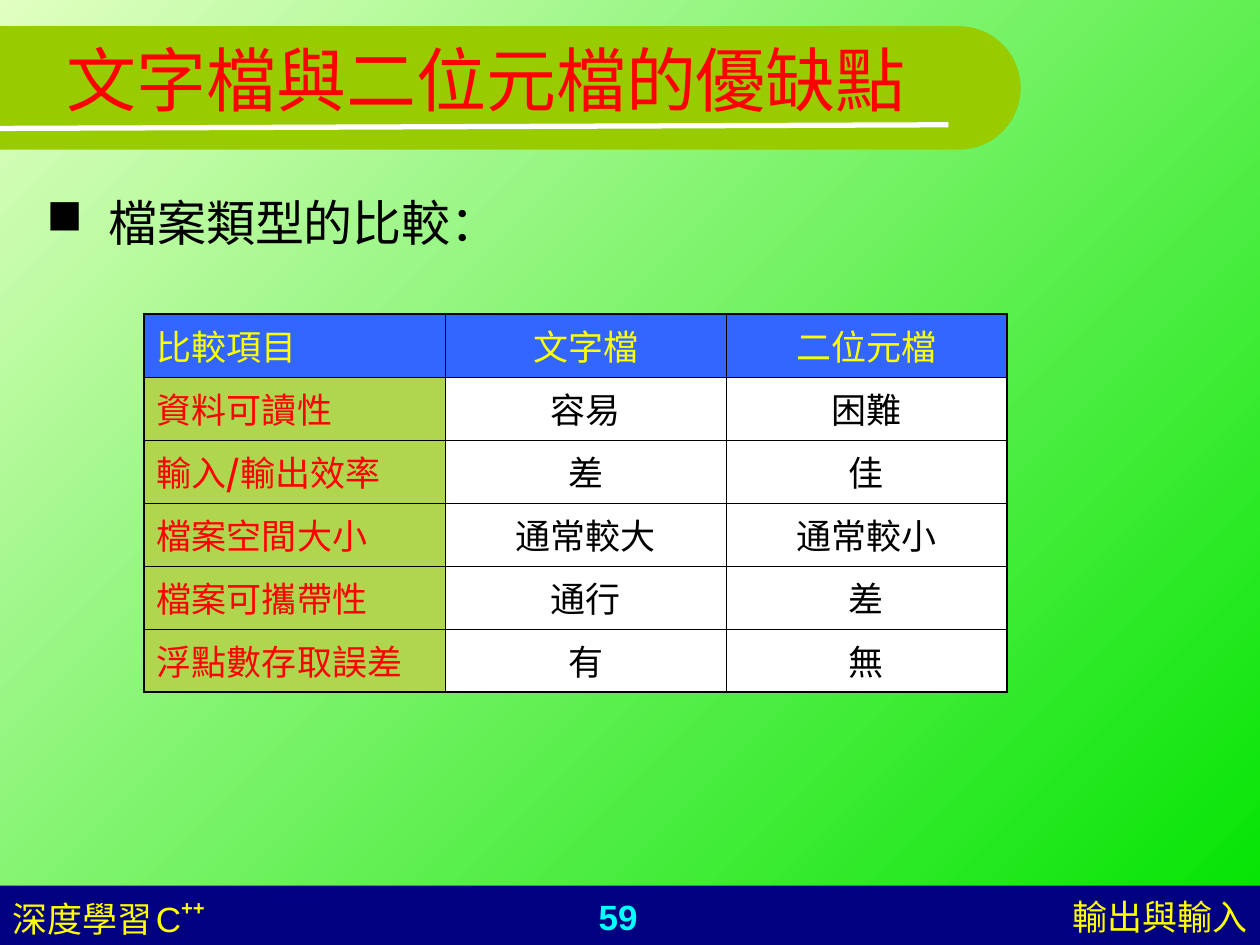
"""Build the slide comparing text files with binary files."""
import math
from dataclasses import dataclass, field

from lxml import etree
from pptx import Presentation
from pptx.dml.color import RGBColor
from pptx.enum.shapes import MSO_CONNECTOR, MSO_SHAPE
from pptx.enum.text import MSO_ANCHOR, PP_ALIGN
from pptx.oxml.ns import qn
from pptx.util import Pt

LEFT, CENTER, RIGHT = PP_ALIGN.LEFT, PP_ALIGN.CENTER, PP_ALIGN.RIGHT
TOP, MIDDLE = MSO_ANCHOR.TOP, MSO_ANCHOR.MIDDLE
RECTANGLE, STRAIGHT = MSO_SHAPE.RECTANGLE, MSO_CONNECTOR.STRAIGHT

COLORS = {
    "pale": "E0FFC1", "green": "00E400", "navy": "000080", "band": "99CC00",
    "white": "FFFFFF", "black": "000000", "red": "FF0000", "yellow": "FFFF00",
    "cyan": "00FFFF", "header": "3366FF", "item": "AFD64E",
}
CJK_FONT = "Noto Sans CJK SC"
OUTER, INNER = 1.08, 0.45


@dataclass(frozen=True)
class Span:
    """A stretch of text with its own format."""
    text: str
    color: str
    size: float = 20
    font: str = "Arial"
    bold: bool = False
    raised: int = 0


@dataclass(frozen=True)
class Label:
    """A text box, placed in points."""
    left: float
    top: float
    width: float
    height: float
    spans: list[Span] = field(default_factory=list)
    align: PP_ALIGN = LEFT
    anchor: MSO_ANCHOR = TOP


TITLE = Label(31, 0, 648, 90, [Span("文字檔與二位元檔的優缺點", "red", 40)], anchor=MIDDLE)
TOPIC = Label(19.5, 100, 648, 57, [Span("檔案類型的比較：", "black", 28, "Courier New")])
FOOTERS = [
    Label(269.3, 508.3, 167.8, 31.7, [Span("59", "cyan", bold=True)], CENTER),
    Label(473, 508.3, 247, 31.7, [Span("輸出與輸入", "yellow")], RIGHT),
    Label(0, 508.3, 167.8, 31.7, [
        Span("深度學習", "yellow"), Span(" ", "yellow", 8), Span("C", "yellow"),
        Span("++", "yellow", bold=True, raised=46),
    ]),
]
COMPARISON = [
    ("比較項目", "文字檔", "二位元檔"),
    ("資料可讀性", "容易", "困難"),
    ("輸入/輸出效率", "差", "佳"),
    ("檔案空間大小", "通常較大", "通常較小"),
    ("檔案可攜帶性", "通行", "差"),
    ("浮點數存取誤差", "有", "無"),
]
COLUMN_WIDTHS = [172, 160.5, 160.5]
ROW_HEIGHT = 36


def rgb(color: str) -> RGBColor:
    """Look up a colour by name."""
    return RGBColor.from_string(COLORS[color])


def write(paragraph, spans: list[Span]) -> None:
    """Add formatted runs to a paragraph."""
    for span in spans:
        run = paragraph.add_run()
        run.text = span.text
        values = {"name": span.font, "size": Pt(span.size), "bold": span.bold}
        for name, value in values.items():
            setattr(run.font, name, value)
        run.font.color.rgb = rgb(span.color)
        properties = run._r.get_or_add_rPr()
        etree.SubElement(properties, qn("a:ea"), typeface=CJK_FONT)
        if span.raised:
            properties.set("baseline", str(span.raised * 1000))


def add_label(slide, label: Label):
    """Draw a text box and return its paragraph."""
    box = slide.shapes.add_textbox(
        Pt(label.left), Pt(label.top), Pt(label.width), Pt(label.height))
    frame = box.text_frame
    frame.word_wrap = True
    frame.vertical_anchor = label.anchor
    paragraph = frame.paragraphs[0]
    paragraph.alignment = label.align
    write(paragraph, label.spans)
    return paragraph


def add_bullet(paragraph, indent: float) -> None:
    """Give a paragraph a black square bullet and a hanging indent."""
    paragraph.line_spacing = 1.2
    properties = paragraph._p.get_or_add_pPr()
    properties.set("marL", str(Pt(indent)))
    properties.set("indent", str(-Pt(indent)))
    bullet_color = etree.SubElement(properties, qn("a:buClr"))
    etree.SubElement(bullet_color, qn("a:srgbClr"), val=COLORS["black"])
    etree.SubElement(properties, qn("a:buChar"), char="■")


def paint(shape, color: str) -> None:
    """Fill a shape plainly, without line or shadow."""
    shape.shadow.inherit = False
    shape.fill.solid()
    shape.fill.fore_color.rgb = rgb(color)
    shape.line.fill.background()


def add_title_band(slide) -> None:
    """Draw the round-ended title band and its underline."""
    top, radius, straight = 15, 35.25, 548
    angles = [math.radians(degree) for degree in range(-90, 91, 3)]
    arc = [(straight + radius * math.cos(a), top + radius + radius * math.sin(a))
           for a in angles]
    outline = slide.shapes.build_freeform(0, Pt(top))
    outline.add_line_segments(
        [(Pt(x), Pt(y)) for x, y in [*arc, (0, top + 2 * radius)]], close=True)
    paint(outline.convert_to_shape(), "band")

    underline = slide.shapes.add_connector(STRAIGHT, 0, Pt(73.4), Pt(542), Pt(71.3))
    underline.line.color.rgb = rgb("white")
    underline.line.width = Pt(3)
    etree.SubElement(underline._element.spPr, qn("a:effectLst"))


def add_borders(cell, widths: dict[str, float]) -> None:
    """Draw the four black borders of a cell."""
    properties = cell._tc.get_or_add_tcPr()
    for side, width in widths.items():
        border = etree.SubElement(properties, qn(f"a:ln{side}"), w=str(Pt(width)))
        fill = etree.SubElement(border, qn("a:solidFill"))
        etree.SubElement(fill, qn("a:srgbClr"), val=COLORS["black"])


def cell_spans(text: str, row: int, column: int) -> list[Span]:
    """Format the text of a cell by its place, with any slash in bold."""
    if row == 0:
        return [Span(text, "yellow", font="Courier New")]
    if column:
        return [Span(text, "black", font="Courier New")]
    before, slash, after = text.partition("/")
    return [Span(part, "red", font=CJK_FONT, bold=part == "/")
            for part in (before, slash, after) if part]


def add_comparison(slide) -> None:
    """Draw the comparison table."""
    last_row, last_column = len(COMPARISON) - 1, len(COLUMN_WIDTHS) - 1
    table = slide.shapes.add_table(
        len(COMPARISON), len(COLUMN_WIDTHS), Pt(82.4), Pt(179.4),
        Pt(sum(COLUMN_WIDTHS)), Pt(ROW_HEIGHT * len(COMPARISON))).table
    table.first_row = table.horz_banding = False
    for column, width in enumerate(COLUMN_WIDTHS):
        table.columns[column].width = Pt(width)
    for row, texts in enumerate(COMPARISON):
        table.rows[row].height = Pt(ROW_HEIGHT)
        for column, text in enumerate(texts):
            cell = table.cell(row, column)
            add_borders(cell, {
                "L": INNER if column else OUTER,
                "R": OUTER if column == last_column else INNER,
                "T": INNER if row else OUTER,
                "B": OUTER if row == last_row else INNER,
            })
            cell.fill.solid()
            cell.fill.fore_color.rgb = rgb(
                "header" if row == 0 else "white" if column else "item")
            paragraph = cell.text_frame.paragraphs[0]
            paragraph.alignment = CENTER if column else LEFT
            write(paragraph, cell_spans(text, row, column))


def main() -> None:
    """Assemble and save the slide."""
    deck = Presentation()
    deck.slide_width, deck.slide_height = Pt(720), Pt(540)
    slide = deck.slides.add_slide(deck.slide_layouts[6])
    backdrop = slide.background.fill
    backdrop.gradient()
    backdrop.gradient_angle = 315
    for stop, color in zip(backdrop.gradient_stops, ("pale", "green")):
        stop.color.rgb = rgb(color)

    footer_bar = slide.shapes.add_shape(RECTANGLE, 0, Pt(506), Pt(720), Pt(34))
    paint(footer_bar, "navy")
    add_title_band(slide)
    for label in [*FOOTERS, TITLE]:
        add_label(slide, label)
    add_comparison(slide)
    add_bullet(add_label(slide, TOPIC), 35.3)
    deck.save("out.pptx")


if __name__ == "__main__":
    main()
